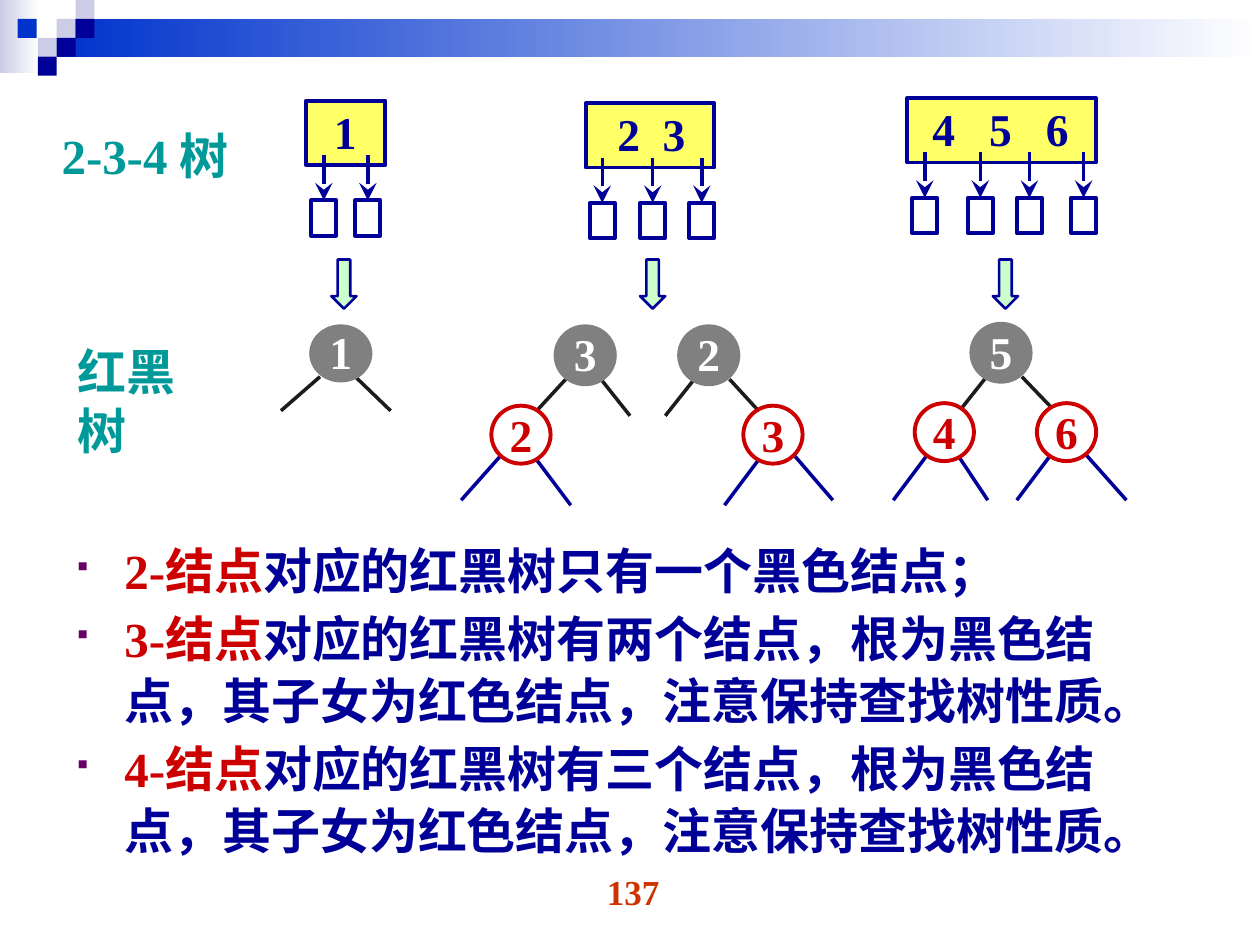
from dataclasses import dataclass
from typing import NamedTuple

from lxml import etree
from pptx import Presentation
from pptx import util as u
from pptx.dml import color
from pptx.enum import shapes, text
from pptx.oxml import ns

Inches, Pt = u.Inches, u.Pt
RGB = color.RGBColor.from_string
Kind = shapes.MSO_SHAPE
Align = text.PP_ALIGN


@dataclass(frozen=True)
class Theme:
    font: str = "Times New Roman"
    navy: str = "000099"
    blue: str = "0033CC"
    pale: str = "CCCCE6"
    white: str = "FFFFFF"
    yellow: str = "FFFF66"
    green: str = "CCFFCC"
    gray: str = "808080"
    ink: str = "1C1C1C"
    red: str = "CC0000"
    teal: str = "009999"
    rust: str = "CC3300"
    plum: str = "660066"
    body: int = 28
    key: int = 26
    page: int = 20


class Leg(NamedTuple):
    x1: float
    y1: float
    x2: float
    y2: float


class Node(NamedTuple):
    key: str
    x: float
    y: float
    legs: tuple[Leg, ...]
    red: bool = False
    h: float = 0.46


class Multi(NamedTuple):
    """A 2-3-4 tree node with its empty children."""
    keys: str
    x: float
    y: float
    w: float
    inset: float
    tab: float
    kids: tuple[float, ...]
    arrow: float


T = Theme()
prs = Presentation()
prs.slide_width, prs.slide_height = Inches(10), Inches(7.5)
slide = prs.slides.add_slide(prs.slide_layouts[6])


def style(para, size: int, tint: str | None = None) -> None:
    font = para.font
    font.name, font.size, font.bold = T.font, Pt(size), True
    if tint:
        font.color.rgb = RGB(tint)


def shape(kind, x: float, y: float, w: float, h: float, fill: str,
          line: str | None = None, width: float = 2.25, fade: bool = False):
    item = slide.shapes.add_shape(kind, *map(Inches, (x, y, w, h)))
    item.shadow.inherit = False
    if fade:
        item.fill.gradient()
        item.fill.gradient_angle = 0
        for stop, tint in zip(item.fill.gradient_stops, (fill, T.white)):
            stop.color.rgb = RGB(tint)
    else:
        item.fill.solid()
        item.fill.fore_color.rgb = RGB(fill)
    if line:
        item.line.color.rgb = RGB(line)
        item.line.width = Pt(width)
    else:
        item.line.fill.background()
    return item


def edge(leg: Leg, tint: str):
    item = slide.shapes.add_connector(
        shapes.MSO_CONNECTOR.STRAIGHT, *map(Inches, leg))
    item.line.color.rgb = RGB(tint)
    item.line.width = Pt(2)
    etree.SubElement(item._element.spPr, ns.qn("a:effectLst"))
    return item


def label(words: str, x: float, y: float, w: float, h: float, size: int,
          tint: str, align=Align.LEFT, wrap: bool = False) -> None:
    frame = slide.shapes.add_textbox(*map(Inches, (x, y, w, h))).text_frame
    frame.word_wrap = wrap
    para = frame.paragraphs[0]
    para.text, para.alignment = words, align
    style(para, size, tint)


def draw_multi(m: Multi) -> None:
    box = shape(Kind.RECTANGLE, m.x, m.y, m.w, 0.51, T.yellow, T.navy)
    frame = box.text_frame
    frame.margin_left, frame.margin_right = Inches(m.inset), 0
    frame.margin_top, frame.margin_bottom = 0, Inches(0.03)
    para = frame.paragraphs[0]
    para.text, para.alignment = m.keys, Align.LEFT
    tabs = etree.SubElement(para._p.get_or_add_pPr(), ns.qn("a:tabLst"))
    for i in range(m.keys.count("\t")):
        etree.SubElement(tabs, ns.qn("a:tab"),
                         pos=str(Inches(m.tab * (i + 1))), algn="l")
    style(para, T.key, T.navy)
    for x in m.kids:
        kid = shape(Kind.RECTANGLE, x, m.y + 0.79, 0.2, 0.28, T.white, T.navy)
        mid = x + 0.1
        link = edge(Leg(mid, m.y + 0.43, mid, m.y + 0.79), T.navy)
        link.end_connect(kid, 0)
        etree.SubElement(link.line._get_or_add_ln(), ns.qn("a:tailEnd"),
                         type="stealth", w="lg", len="lg")
    shape(Kind.DOWN_ARROW, m.arrow, 2.06, 0.2, 0.39, T.green, T.navy, 1.5)


def draw_node(n: Node) -> None:
    fill, line, ink = ((T.white, T.red, T.red) if n.red
                       else (T.gray, T.gray, T.white))
    frame = shape(Kind.OVAL, n.x, n.y, 0.47, n.h, fill, line).text_frame
    frame.margin_left = frame.margin_right = frame.margin_top = 0
    frame.margin_bottom = Inches(0.01 if n.red else 0.03)
    frame.word_wrap = False
    para = frame.paragraphs[0]
    para.text, para.alignment = n.key, Align.CENTER
    style(para, T.key, ink)


def add_bullet(para) -> None:
    props = para._p.get_or_add_pPr()
    props.set("marL", str(Inches(0.38)))
    props.set("indent", str(-Inches(0.38)))
    props.set("hangingPunct", "0")
    tint = etree.SubElement(props, ns.qn("a:buClr"))
    etree.SubElement(tint, ns.qn("a:srgbClr"), val=T.plum)
    etree.SubElement(props, ns.qn("a:buSzPct"), val="55000")
    etree.SubElement(props, ns.qn("a:buFont"), typeface="Wingdings",
                     charset="2")
    etree.SubElement(props, ns.qn("a:buChar"), char="§")


# Header band and mosaic
shape(Kind.RECTANGLE, 0, 0, 0.31, 0.58, T.pale, fade=True)
shape(Kind.RECTANGLE, 0.45, 0.15, 9.55, 0.3, T.blue, fade=True)
for x, y, tint in ((0.45, 0.15, T.pale), (0.6, 0, T.pale), (0.6, 0.15, T.navy),
                   (0.3, 0.3, T.pale), (0.14, 0.15, T.blue),
                   (0.45, 0.3, T.navy), (0.3, 0.45, T.navy)):
    shape(Kind.RECTANGLE, x, y, 0.15, 0.15, tint)

# Page number
label("137", 3.86, 6.86, 2.33, 0.52, T.page, T.rust, Align.CENTER, True)

# Bulleted rules
rest = "，根为黑色结点，其子女为红色结点，注意保持查找树性质。"
rules = (("2-结点", "对应的红黑树只有一个黑色结点；"),
         ("3-结点", "对应的红黑树有两个结点" + rest),
         ("4-结点", "对应的红黑树有三个结点" + rest))
body = slide.shapes.add_textbox(*map(Inches, (0.51, 4.22, 9, 3.03))).text_frame
body.word_wrap = True
for i, parts in enumerate(rules):
    para = body.add_paragraph() if i else body.paragraphs[0]
    add_bullet(para)
    para.line_spacing = 1.05
    para.space_before = Pt(3.5 if i else 0)
    style(para, T.body)
    for words, tint in zip(parts, (T.red, T.navy)):
        run = para.add_run()
        run.text = words
        run.font.color.rgb = RGB(tint)

# 2-3-4 tree nodes
for m in (Multi("1", 2.43, 0.8, 0.63, 0.22, 0, (2.47, 2.82), 2.63),
          Multi("2\t3", 4.65, 0.82, 1.02, 0.25, 0.36, (4.68, 5.08, 5.47), 5.08),
          Multi("4\t5\t6", 7.2, 0.78, 1.5, 0.2, 0.45,
                (7.24, 7.68, 8.07, 8.5), 7.88)):
    draw_multi(m)

# Red-black trees: edges first, nodes on top
nodes = (
    Node("1", 2.47, 2.59, (Leg(2.54, 2.99, 2.23, 3.26),
                           Leg(2.82, 2.99, 3.1, 3.26)), h=0.43),
    Node("3", 4.41, 2.59, (Leg(4.49, 3.01, 4.26, 3.26),
                           Leg(4.77, 3.01, 5, 3.3))),
    Node("2", 3.9, 3.22, (Leg(3.98, 3.61, 3.66, 3.97),
                          Leg(4.26, 3.65, 4.53, 4.01)), True),
    Node("2", 5.39, 2.59, (Leg(5.51, 3.01, 5.28, 3.3),
                           Leg(5.79, 3.01, 6.02, 3.26))),
    Node("3", 5.9, 3.22, (Leg(6.02, 3.65, 5.75, 4.01),
                          Leg(6.3, 3.61, 6.61, 3.97)), True),
    Node("5", 7.71, 2.57, (Leg(7.83, 2.99, 7.6, 3.28),
                           Leg(8.11, 2.99, 8.35, 3.24))),
    Node("4", 7.26, 3.2, (Leg(7.36, 3.61, 7.09, 3.97),
                          Leg(7.6, 3.61, 7.84, 3.97)), True),
    Node("6", 8.23, 3.2, (Leg(8.34, 3.61, 8.07, 3.97),
                          Leg(8.62, 3.61, 8.94, 3.97)), True))
for n in nodes:
    for leg in n.legs:
        edge(leg, T.navy if n.red else T.ink)
for n in nodes:
    draw_node(n)

# Row labels
label("2-3-4 树", 0.39, 0.95, 1.62, 0.57, T.body, T.teal)
label("红黑树", 0.52, 2.66, 1.36, 0.57, T.body, T.teal)

prs.save("out.pptx")
